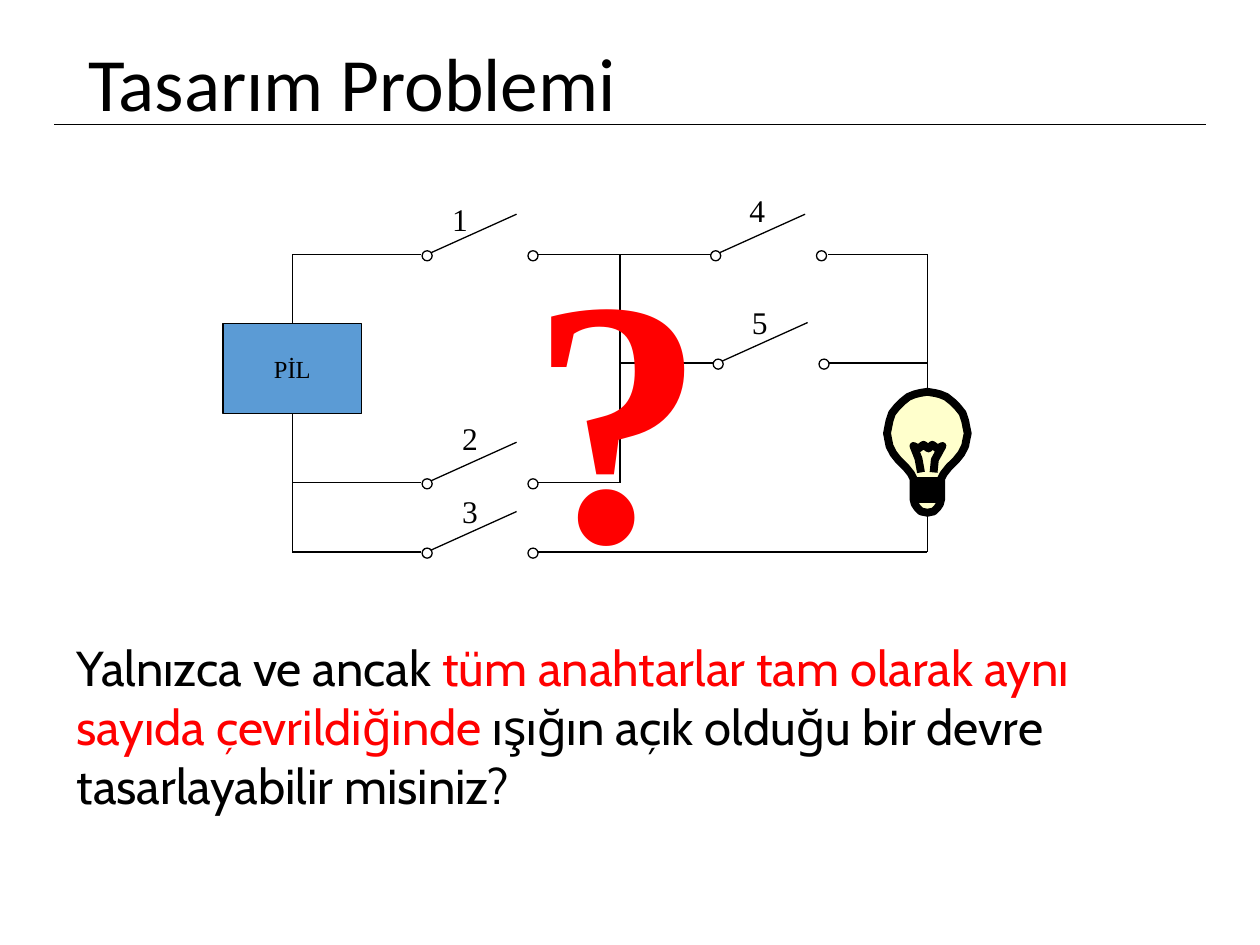
from pptx import Presentation
from pptx.dml.color import RGBColor as Rgb
from pptx.enum.shapes import MSO_CONNECTOR as Conn, MSO_SHAPE as Kind
from pptx.enum.text import MSO_ANCHOR as Anchor, PP_ALIGN as Align
from pptx.oxml.ns import qn
from pptx.util import Inches, Pt
from lxml.etree import SubElement

HUES = {"ink": "000000", "paper": "FFFFFF", "cell": "5B9BD5",
        "glow": "FFFFCC", "alert": "FF0000"}
SERIF = "Times New Roman"


def hue(name):
    """Return the named colour."""
    return Rgb.from_string(HUES[name])


def style(run, size, face, tint="ink", bold=False):
    """Set the font of a run."""
    font = run.font
    font.size, font.name, font.bold = Pt(size), face, bold
    font.color.rgb = hue(tint)


def label(slide, box, parts, size, face, wrap=False, bold=False):
    """Add a text box of (text, colour) parts and return its frame."""
    frame = slide.shapes.add_textbox(*map(Inches, box)).text_frame
    frame.word_wrap = wrap
    para = frame.paragraphs[0]
    for text, tint in parts:
        run = para.add_run()
        run.text = text
        style(run, size, face, tint, bold)
    return frame


def wire(slide, x, y, x2, y2):
    """Draw a thin straight line."""
    line = slide.shapes.add_connector(Conn.STRAIGHT, *map(Inches, (x, y, x2, y2)))
    line.line.color.rgb = hue("ink")
    line.line.width = Pt(0.75)
    SubElement(line._element.spPr, qn("a:effectLst"))


def paint(shape, fill, width=0.75):
    """Give a shape its fill and outline."""
    shape.shadow.inherit = False
    if fill:
        shape.fill.solid()
        shape.fill.fore_color.rgb = hue(fill)
    else:
        shape.fill.background()
    shape.line.color.rgb = hue("ink")
    shape.line.width = Pt(width)


def header(slide, x, y, w, h):
    """Place the title over its rule."""
    wire(slide, x, y + 1.02, x + 9.14, y + 1.02)
    frame = label(slide, (x + 0.17, y, w, h), [("Tasarım Problemi", "ink")],
                  43, "Calibri", wrap=True)
    frame.vertical_anchor = Anchor.MIDDLE
    frame.paragraphs[0].line_spacing = 0.9


def switch(slide, x, y, text, dx, dy):
    """Draw an open switch whose left contact starts at x on the wire at y."""
    wire(slide, x + 0.04, y, x + 0.75, y - 0.32)
    for left in (x, x + 0.84):
        dot = slide.shapes.add_shape(
            Kind.OVAL, *map(Inches, (left, y - 0.03, 0.08, 0.08)))
        paint(dot, "paper")
    label(slide, (x + dx, y + dy, 0.34, 0.4), [(text, "ink")], 18, SERIF)


def battery(slide, x, y, w, h):
    """Draw the battery block."""
    cell = slide.shapes.add_shape(Kind.RECTANGLE, *map(Inches, (x, y, w, h)))
    paint(cell, "cell")
    frame = cell.text_frame
    frame.text = "PİL"
    frame.word_wrap = False
    frame.vertical_anchor = Anchor.MIDDLE
    para = frame.paragraphs[0]
    para.alignment = Align.CENTER
    style(para.runs[0], 14, SERIF)


def trace(slide, x, y, strokes, fill, close):
    """Draw strokes, given as offsets from x and y, as one freeform."""
    pen = None
    for stroke in strokes:
        pts = [(Inches(x + dx), Inches(y + dy)) for dx, dy in stroke]
        if pen:
            pen.move_to(*pts[0])
        else:
            pen = slide.shapes.build_freeform(*pts[0], scale=1.0)
        pen.add_line_segments(pts[1:], close=close)
    paint(pen.convert_to_shape(), fill, 4.5)


def bulb(slide, x, y):
    """Draw the bulb with the middle of its top at x and y."""
    half = [(0, 0), (0.06, 0.01), (0.1, 0.02), (0.15, 0.04), (0.2, 0.08),
            (0.24, 0.12), (0.28, 0.17), (0.3, 0.23), (0.31, 0.28),
            (0.32, 0.33), (0.31, 0.38), (0.3, 0.43), (0.27, 0.49),
            (0.23, 0.54), (0.17, 0.6), (0.13, 0.65), (0.11, 0.69),
            (0.11, 0.85), (0.1, 0.89), (0.08, 0.92), (0.05, 0.95), (0, 0.96)]
    glass = half + [(-dx, dy) for dx, dy in half[-2:0:-1]]
    coil = [(-0.05, 0.64), (-0.07, 0.53), (-0.11, 0.43), (-0.07, 0.45),
            (-0.03, 0.42), (0.01, 0.45), (0.04, 0.42), (0.08, 0.45),
            (0.12, 0.43), (0.06, 0.54), (0.05, 0.64)]
    screw = [(-0.11, 0.71), (0.11, 0.71), (0.11, 0.75), (-0.11, 0.75),
             (-0.11, 0.8), (0.11, 0.8), (0.11, 0.85), (-0.1, 0.85)]
    trace(slide, x, y, [glass], "glow", True)
    trace(slide, x, y, [coil, screw], None, False)


def circuit(slide, x, y):
    """Draw the circuit with its wires, switches, battery and bulb."""
    top, mid, low, base = 0.55, 1.41, 2.36, 2.91
    left, node, right = 0.55, 3.15, 5.59
    gap, back = (1.57, 2.44), (3.93, 4.8)
    wires = [(left, top, gap[0], top), (gap[1], top, back[0], top),
             (back[1], top, right, top), (node, mid, back[0], mid),
             (back[1], mid, right, mid), (left, low, gap[0], low),
             (gap[1], low, node, low), (left, base, gap[0], base),
             (gap[1], base, right, base), (left, top, left, 1.1),
             (left, 1.81, left, base), (node, top, node, low),
             (right, top, right, base)]
    for a, b, c, d in wires:
        wire(slide, x + a, y + b, x + c, y + d)
    battery(slide, x, y + 1.1, 1.1, 0.71)
    for text, a, b, dx, dy in [("1", 1.58, top, 0.14, -0.48),
                               ("2", 1.58, low, 0.22, -0.55),
                               ("3", 1.58, base, 0.22, -0.52),
                               ("4", 3.87, top, 0.21, -0.55),
                               ("5", 3.89, mid, 0.21, -0.52)]:
        switch(slide, x + a, y + b, text, dx, dy)
    bulb(slide, x + right, y + 1.64)
    label(slide, (x + 2.34, y, 1.73, 3.44), [("?", "alert")], 200, SERIF, bold=True)


def puzzle(slide, x, y, w, h):
    """Place the question below the circuit."""
    parts = [("Yalnızca ve ancak ", "ink"),
             ("tüm anahtarlar tam olarak aynı sayıda çevrildiğinde", "alert"),
             (" ışığın açık olduğu bir devre tasarlayabilir misiniz?", "ink")]
    label(slide, (x, y, w, h), parts, 28, "Cabin", wrap=True)


def main():
    """Build and save the slide."""
    deck = Presentation()
    deck.slide_width, deck.slide_height = Inches(10), Inches(7.5)
    slide = deck.slides.add_slide(deck.slide_layouts[6])
    header(slide, 0.43, -0.03, 8.62, 1.45)
    puzzle(slide, 0.51, 5.01, 9.06, 1.5)
    circuit(slide, 1.77, 1.47)
    deck.save("out.pptx")


if __name__ == "__main__":
    main()
